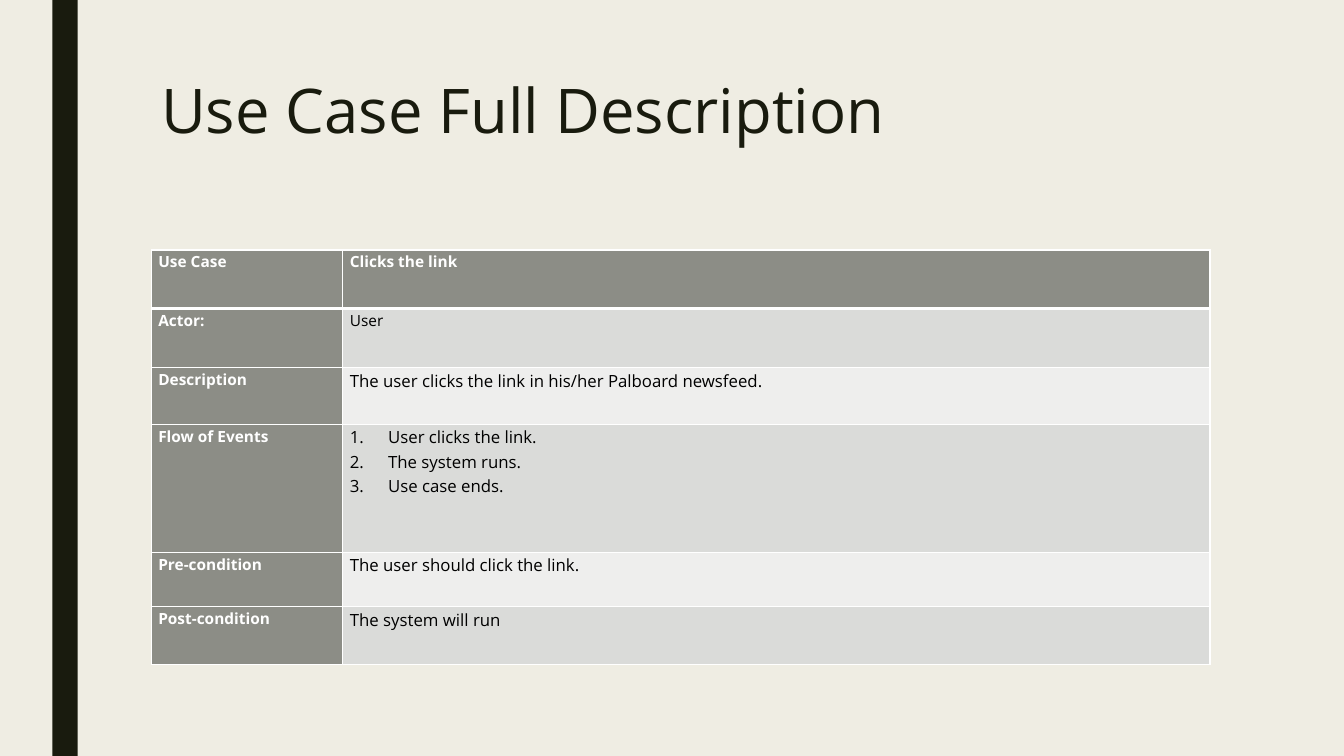
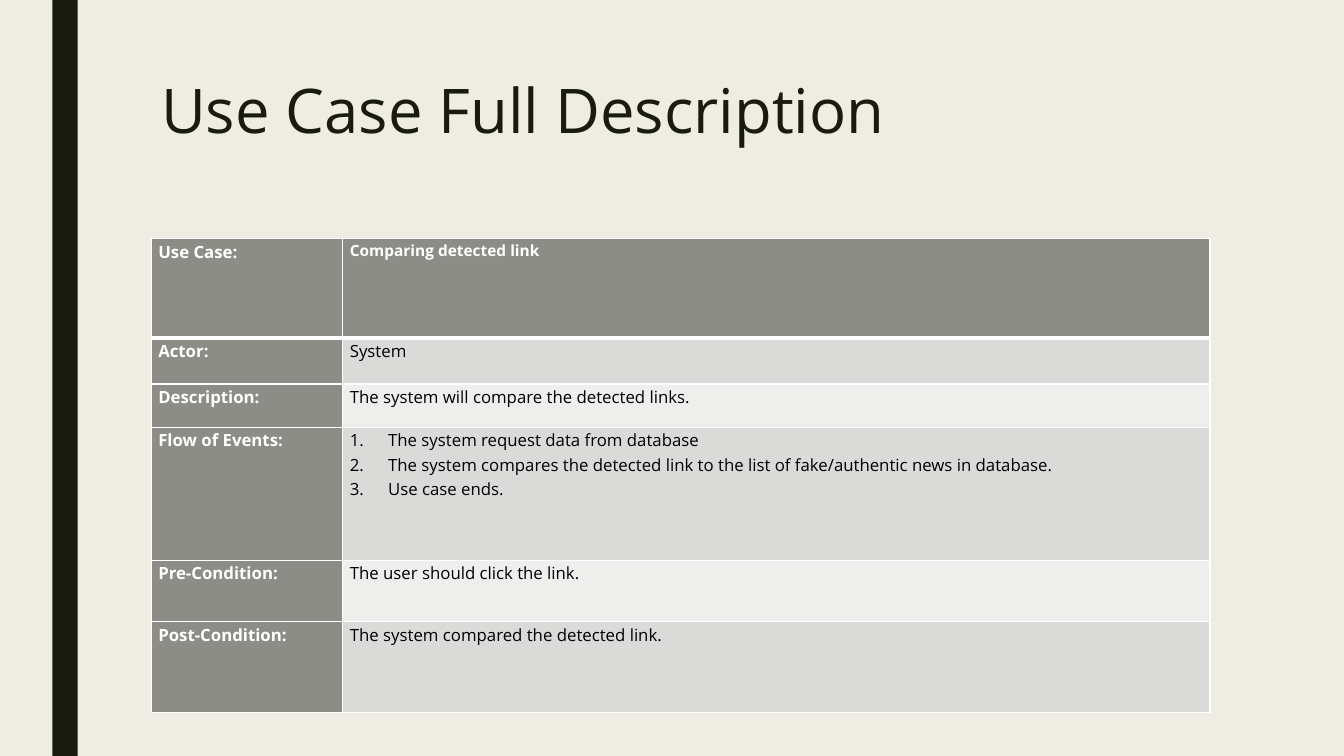
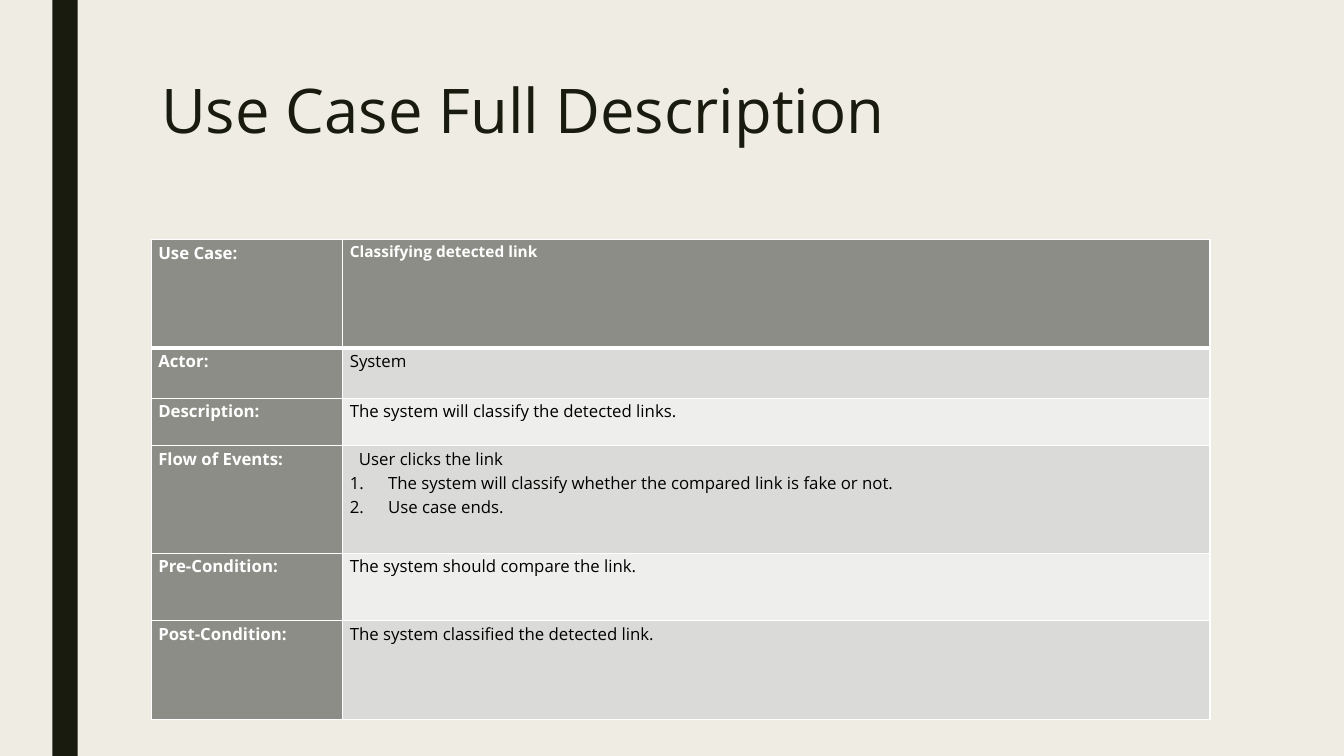
from lxml import etree
from pptx import Presentation
from pptx.dml.color import RGBColor
from pptx.enum.shapes import MSO_SHAPE
from pptx.enum.text import MSO_ANCHOR
from pptx.oxml.ns import qn
from pptx.util import Inches, Pt

# Shared look
FONT = "Open Sans"
CREAM = RGBColor(0xEF, 0xED, 0xE3)
DARK = RGBColor(0x19, 0x1B, 0x0E)
HEADER_GREY = RGBColor(0x8C, 0x8D, 0x86)
ROW_GREYS = (RGBColor(0xDA, 0xDB, 0xD9), RGBColor(0xEE, 0xEE, 0xED))
WHITE = RGBColor(0xFF, 0xFF, 0xFF)
BLACK = RGBColor(0, 0, 0)

TITLE = "Use Case Full Description"
LEFT, WIDTH = 1.5, 10.5
COLUMNS = (1.9, 8.6)
LIST_INDENT = 0.38
LEAD_INDENT = 0.09

LABELS = ("Use Case:", "Actor:", "Description:", "Flow of Events:",
          "Pre-Condition:", "Post-Condition:")

# One entry per slide; a list value is a numbered flow, "lead" an unnumbered first line
USE_CASES = (
    {
        "top": 2.48,
        "heights": (0.58, 0.59, 0.56, 1.27, 0.54, 0.57),
        "labels": ("Use Case", "Actor:", "Description", "Flow of Events",
                   "Pre-condition", "Post-condition"),
        "label_size": 11,
        "actor_size": 11,
        "values": (
            "Clicks the link",
            "User",
            "The user clicks the link in his/her Palboard newsfeed.",
            ["User clicks the link.", "The system runs.", "Use case ends."],
            "The user should click the link.",
            "The system will run",
        ),
    },
    {
        "top": 2.37,
        "heights": (0.98, 0.46, 0.43, 1.32, 0.61, 0.9),
        "values": (
            "Comparing detected link",
            "System",
            "The system will compare the detected links.",
            ["The system request data from database",
             "The system compares the detected link to the list of "
             "fake/authentic news in database.",
             "Use case ends."],
            "The user should click the link.",
            "The system compared the detected link.",
        ),
    },
    {
        "top": 2.38,
        "heights": (1.07, 0.5, 0.47, 1.07, 0.67, 0.98),
        "lead": "User clicks the link",
        "values": (
            "Classifying detected link",
            "System",
            "The system will classify the detected links.",
            ["The system will classify whether the compared link is fake or not.",
             "Use case ends."],
            "The system should compare the link.",
            "The system classified the detected link.",
        ),
    },
)


def write(paragraph, text, size, color, bold=False, spacing=1.07):
    paragraph.line_spacing = spacing
    run = paragraph.add_run()
    run.text = text
    font = run.font
    font.name, font.size, font.bold = FONT, Pt(size), bold
    font.color.rgb = color


def indent(paragraph, left, numbered=False):
    properties = paragraph._p.get_or_add_pPr()
    properties.set("marL", str(Inches(left)))
    if numbered:
        properties.set("indent", str(-Inches(left)))
        etree.SubElement(properties, qn("a:buFont"), typeface="+mj-lt")
        etree.SubElement(properties, qn("a:buAutoNum"), type="arabicPeriod")


def set_borders(cell, top=1, bottom=1):
    properties = cell._tc.get_or_add_tcPr()
    for side, width in (("L", 1), ("R", 1), ("T", top), ("B", bottom)):
        line = etree.SubElement(properties, qn(f"a:ln{side}"), w=str(Pt(width)))
        fill = etree.SubElement(line, qn("a:solidFill"))
        etree.SubElement(fill, qn("a:srgbClr"), val=str(WHITE))


def style_cell(cell, row, fill):
    set_borders(cell, top=3 if row == 1 else 1, bottom=3 if row == 0 else 1)
    cell.fill.solid()
    cell.fill.fore_color.rgb = fill
    cell.margin_left = cell.margin_right = Inches(0.07)
    cell.margin_top = cell.margin_bottom = 0
    cell.vertical_anchor = MSO_ANCHOR.TOP


def write_flow(frame, steps, lead=None):
    lines = ([(lead, False)] if lead else []) + [(step, True) for step in steps]
    for number, (text, numbered) in enumerate(lines):
        paragraph = frame.add_paragraph() if number else frame.paragraphs[0]
        write(paragraph, text, 12, BLACK)
        indent(paragraph, LIST_INDENT if numbered else LEAD_INDENT, numbered)


def add_band(slide):
    band = slide.shapes.add_shape(MSO_SHAPE.RECTANGLE, Inches(0.52), 0,
                                  Inches(0.25), Inches(7.5))
    band.shadow.inherit = False
    band.fill.solid()
    band.fill.fore_color.rgb = DARK
    band.line.fill.background()


def add_title(slide):
    box = slide.shapes.add_textbox(Inches(LEFT), Inches(0.75),
                                   Inches(WIDTH), Inches(1.62))
    box.text_frame.word_wrap = True
    write(box.text_frame.paragraphs[0], TITLE, 44, DARK, spacing=0.89)


def add_use_case_table(slide, case):
    heights = case["heights"]
    table = slide.shapes.add_table(
        len(heights), len(COLUMNS), Inches(LEFT), Inches(case["top"]),
        Inches(WIDTH), Inches(sum(heights))).table
    for column, width in zip(table.columns, COLUMNS):
        column.width = Inches(width)

    rows = zip(heights, case.get("labels", LABELS), case["values"])
    for row, (height, label, value) in enumerate(rows):
        table.rows[row].height = Inches(height)
        label_cell, value_cell = table.cell(row, 0), table.cell(row, 1)
        is_header = row == 0

        style_cell(label_cell, row, HEADER_GREY)
        write(label_cell.text_frame.paragraphs[0], label,
              case.get("label_size", 12), WHITE, bold=True)

        style_cell(value_cell, row,
                   HEADER_GREY if is_header else ROW_GREYS[(row - 1) % 2])
        frame = value_cell.text_frame
        if isinstance(value, list):
            write_flow(frame, value, case.get("lead"))
        elif is_header:
            write(frame.paragraphs[0], value, 11, WHITE, bold=True)
        else:
            size = case.get("actor_size", 12) if row == 1 else 12
            write(frame.paragraphs[0], value, size, BLACK)


def main():
    deck = Presentation()
    deck.slide_width, deck.slide_height = Inches(13.33), Inches(7.5)
    background = deck.slide_master.background.fill
    background.solid()
    background.fore_color.rgb = CREAM

    for case in USE_CASES:
        slide = deck.slides.add_slide(deck.slide_layouts[6])
        add_band(slide)
        add_title(slide)
        add_use_case_table(slide, case)

    deck.save("out.pptx")


main()
